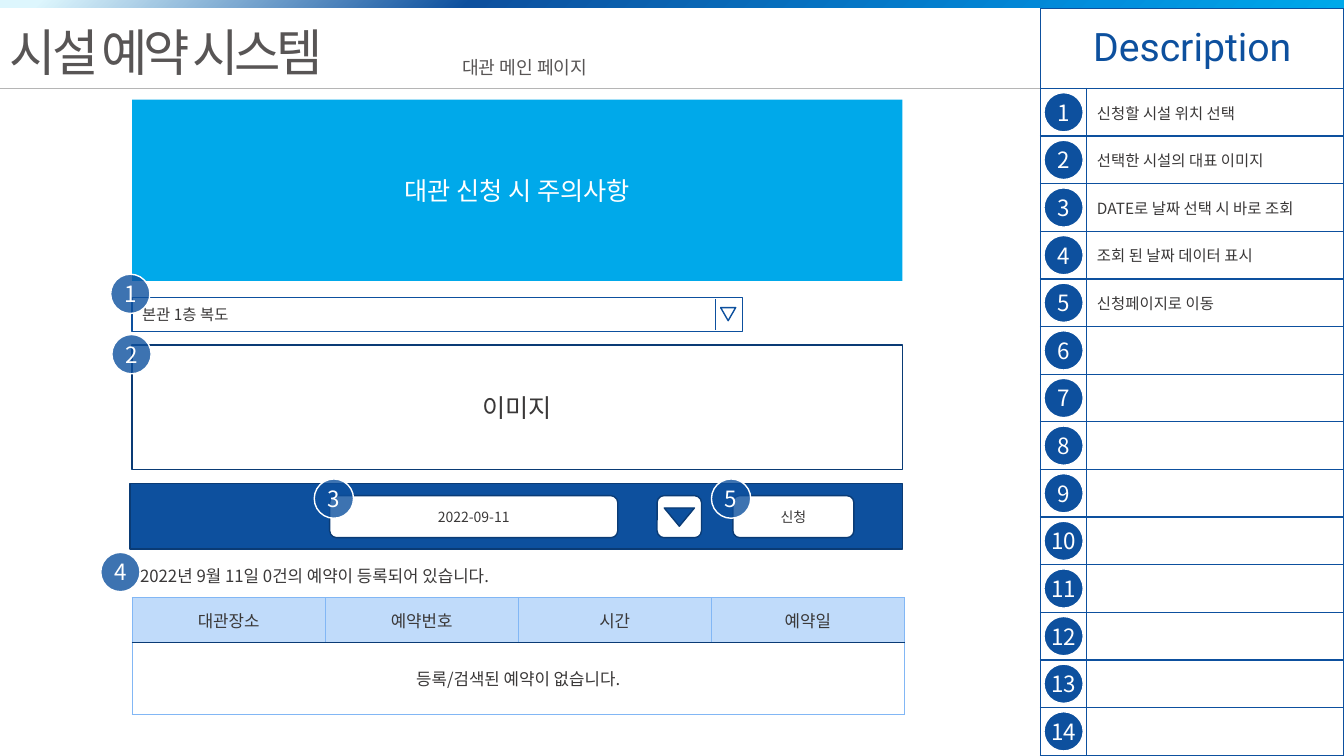
from lxml.etree import SubElement
from pptx import Presentation
from pptx.dml.color import RGBColor
from pptx.enum.shapes import MSO_CONNECTOR, MSO_SHAPE
from pptx.enum.text import MSO_ANCHOR, MSO_AUTO_SIZE, PP_ALIGN
from pptx.oxml import parse_xml
from pptx.oxml.ns import nsdecls, qn
from pptx.util import Cm, Pt

BLUE = RGBColor(0x0D, 0x50, 0x9E)
NAVY = RGBColor(0x0A, 0x3B, 0x75)
SKY = RGBColor(0x00, 0xA9, 0xEA)
PALE = RGBColor(0xC0, 0xDB, 0xFA)
SOFT = RGBColor(0x82, 0xB7, 0xF5)
WHITE = RGBColor(0xFF, 0xFF, 0xFF)
INK = RGBColor(0x3A, 0x38, 0x38)
GRAY = RGBColor(0x58, 0x55, 0x55)
RULE = RGBColor(0xB5, 0xB5, 0xB5)
RIBBON_STOPS = [(3, RGBColor(0xDD, 0xF6, 0xFD)), (35, BLUE),
                (82, RGBColor(0x01, 0x8E, 0xDD)), (100, SKY)]

KOREAN = "Noto Sans CJK KR"
WIDTH, HEIGHT = 33.87, 19.05
BADGE = 0.99
CENTER, LEFT = PP_ALIGN.CENTER, PP_ALIGN.LEFT

NOTES = ["신청할 시설 위치 선택", "선택한 시설의 대표 이미지", "DATE로 날짜 선택 시 바로 조회",
         "조회 된 날짜 데이터 표시", "신청페이지로 이동"]
BOOKING_HEADS = ["대관장소", "예약번호", "시간", "예약일"]


def apply_format(target, values):
    for name, value in values.items():
        setattr(target, name, value)


def write(frame, text, size, color, align=LEFT, font=KOREAN, spacing=None):
    para = frame.paragraphs[0]
    para.alignment = align
    span = para.add_run()
    span.text = text
    apply_format(span.font, {"size": Pt(size), "name": font})
    span.font.color.rgb = color
    props = span.font._element
    SubElement(props, qn("a:ea"), typeface=font)
    if spacing is not None:
        props.set("spc", str(spacing * 100))


def add_label(shapes, box, text, size, color, spacing=None):
    frame = shapes.add_textbox(*map(Cm, box)).text_frame
    apply_format(frame, {"word_wrap": False, "auto_size": MSO_AUTO_SIZE.SHAPE_TO_FIT_TEXT})
    write(frame, text, size, color, spacing=spacing)


def add_block(shapes, kind, box, fill=None, line=None, text=None, size=11, color=INK, align=CENTER):
    block = shapes.add_shape(kind, *map(Cm, box))
    block.shadow.inherit = False
    for part, shade in ((block.fill, fill), (block.line.fill, line)):
        if shade is None:
            part.background()
        else:
            part.solid()
            part.fore_color.rgb = shade
    if line is not None:
        block.line.width = Pt(1)
    if text is not None:
        apply_format(block.text_frame, {"word_wrap": True, "vertical_anchor": MSO_ANCHOR.MIDDLE})
        write(block.text_frame, text, size, color, align)
    return block


def add_badge(shapes, left, top, number, opacity=100):
    badge = add_block(shapes, MSO_SHAPE.OVAL, (left, top, BADGE, BADGE), BLUE, WHITE,
                      str(number), 16, WHITE)
    sides = ("margin_left", "margin_top", "margin_right", "margin_bottom")
    apply_format(badge.text_frame, dict.fromkeys(sides, 0) | {"word_wrap": False})
    if opacity < 100:
        shade = badge._element.spPr.find(qn("a:solidFill"))[0]
        SubElement(shade, qn("a:alpha"), val=str(opacity * 1000))


def add_line(shapes, start, end, color):
    line = shapes.add_connector(MSO_CONNECTOR.STRAIGHT, *map(Cm, start + end))
    line.line.color.rgb = color
    line.line.width = Pt(1)
    SubElement(line._element.spPr, qn("a:effectLst"))


def add_grid(shapes, left, top, columns, rows):
    table = shapes.add_table(len(rows), len(columns), Cm(left), Cm(top),
                             Cm(sum(columns)), Cm(sum(rows))).table
    apply_format(table, {"first_row": False, "horz_banding": False})
    for column, width in zip(table.columns, columns):
        column.width = Cm(width)
    for row, height in zip(table.rows, rows):
        row.height = Cm(height)
    return table


def style_cell(cell, borders, fill=None):
    """Borders are given in the order left, right, top, bottom."""
    props = cell._tc.get_or_add_tcPr()
    for side, color in zip("LRTB", borders):
        props.append(parse_xml(
            f'<a:ln{side} {nsdecls("a")} w="12700"><a:solidFill><a:srgbClr val="{color}"/>'
            f'</a:solidFill></a:ln{side}>'))
    cell.vertical_anchor = MSO_ANCHOR.MIDDLE
    if fill is None:
        cell.fill.background()
    else:
        cell.fill.solid()
        cell.fill.fore_color.rgb = fill


def add_ribbon(shapes, box):
    ribbon = add_block(shapes, MSO_SHAPE.RECTANGLE, box)
    stops = "".join(f'<a:gs pos="{place * 1000}"><a:srgbClr val="{color}"/></a:gs>'
                    for place, color in RIBBON_STOPS)
    gradient = parse_xml(f'<a:gradFill {nsdecls("a")} rotWithShape="1"><a:gsLst>{stops}</a:gsLst>'
                         '<a:lin ang="2700000" scaled="0"/></a:gradFill>')
    props = ribbon._element.spPr
    props.replace(props.find(qn("a:noFill")), gradient)


def add_header(shapes, left, top, width, height):
    add_line(shapes, (left, top + height), (left + width, top + height), RULE)
    add_label(shapes, (left, top + 0.2, 9.42, 1.8), "시설 예약 시스템", 36, GRAY, spacing=-3)
    add_label(shapes, (left + 11.4, top + 1.1, 3.96, 0.81), "대관 메인 페이지", 13, GRAY)


def add_description(shapes, left, top, width):
    number_width, head, step, count = 1.17, 2.03, 1.2, 14
    table = add_grid(shapes, left, top, [number_width, width - number_width],
                     [head] + [step] * count)
    for cell in table.iter_cells():
        style_cell(cell, [BLUE] * 4)
    table.cell(0, 0).merge(table.cell(0, 1))
    write(table.cell(0, 0).text_frame, "Description", 28, BLUE, CENTER, "Roboto")
    for row, note in enumerate(NOTES, 1):
        write(table.cell(row, 1).text_frame, note, 11, INK)
    for index in range(count):
        add_badge(shapes, left + (number_width - BADGE) / 2,
                  top + head + index * step + (step - BADGE) / 2, index + 1)


def add_place_select(shapes, left, top, width, height):
    add_block(shapes, MSO_SHAPE.RECTANGLE, (left, top, width, height), WHITE, BLUE,
              "본관 1층 복도", align=LEFT)
    arrow = add_block(shapes, MSO_SHAPE.ISOSCELES_TRIANGLE,
                      (left + width - 0.56, top + 0.26, 0.38, 0.33), WHITE, BLUE)
    arrow.rotation = 180
    divider = left + width - 0.69
    add_line(shapes, (divider, top + 0.04), (divider, top + height - 0.04), BLUE)
    add_badge(shapes, left - 0.54, top - 0.58, 1, 80)


def add_search_bar(shapes, left, top, width, height):
    group = shapes.add_group_shape().shapes
    add_block(group, MSO_SHAPE.RECTANGLE, (left, top, width, height), BLUE, NAVY)
    for offset, wide, text in ((5.03, 7.26, "2022-09-11"), (15.19, 3.05, "신청"),
                               (13.28, 1.12, None)):
        add_block(group, MSO_SHAPE.ROUNDED_RECTANGLE, (left + offset, top + 0.3, wide, 1.06),
                  WHITE, NAVY, text, 10)
    arrow = add_block(group, MSO_SHAPE.ISOSCELES_TRIANGLE,
                      (left + 13.46, top + 0.61, 0.76, 0.46), BLUE, NAVY)
    arrow.rotation = 180
    for offset, number in ((4.64, 3), (14.65, 5)):
        add_badge(shapes, left + offset, top - 0.12, number, 80)


def add_bookings(shapes, left, top, width):
    add_label(shapes, (left - 0.05, top, 10.24, 0.76),
              "2022년 9월 11일 0건의 예약이 등록되어 있습니다.", 12, INK)
    add_badge(shapes, left - 0.79, top - 0.2, 4, 80)
    count = len(BOOKING_HEADS)
    table = add_grid(shapes, left, top + 0.94, [width / count] * count, [1.12, 1.83])
    for column, head in enumerate(BOOKING_HEADS):
        style_cell(table.cell(0, column), [SOFT, SOFT, SOFT, NAVY], PALE)
        write(table.cell(0, column).text_frame, head, 12, INK, CENTER)
        style_cell(table.cell(1, column), [SOFT, SOFT, NAVY, SOFT])
    table.cell(1, 0).merge(table.cell(1, count - 1))
    write(table.cell(1, 0).text_frame, "등록/검색된 예약이 없습니다.", 12, INK, CENTER)


def add_main_page(shapes, left, top, width):
    # Notice banner
    add_block(shapes, MSO_SHAPE.RECTANGLE, (left, top, width, 4.57), SKY, None,
              "대관 신청 시 주의사항", 18, WHITE)
    # Place choice and its picture frame
    add_place_select(shapes, left, top + 4.98, 15.39, 0.86)
    add_block(shapes, MSO_SHAPE.RECTANGLE, (left, top + 6.18, width, 3.15), None, NAVY, "이미지", 18)
    add_badge(shapes, left - 0.51, top + 5.92, 2, 80)
    # Date search and its results
    add_search_bar(shapes, left - 0.05, top + 9.68, width + 0.05, 1.65)
    add_bookings(shapes, left, top + 11.61, width + 0.05)


def main():
    deck = Presentation()
    apply_format(deck, {"slide_width": Cm(WIDTH), "slide_height": Cm(HEIGHT)})
    page = deck.slides.add_slide(deck.slide_layouts[6])
    ribbon, sidebar = 0.2, 7.65
    add_description(page.shapes, WIDTH - sidebar, ribbon, sidebar)
    add_header(page.shapes, 0, ribbon, WIDTH - sidebar, 2.03)
    add_ribbon(page.shapes, (0, 0, WIDTH, ribbon))
    add_main_page(page.shapes, 3.33, 2.51, 19.41)
    deck.save("out.pptx")


if __name__ == "__main__":
    main()
